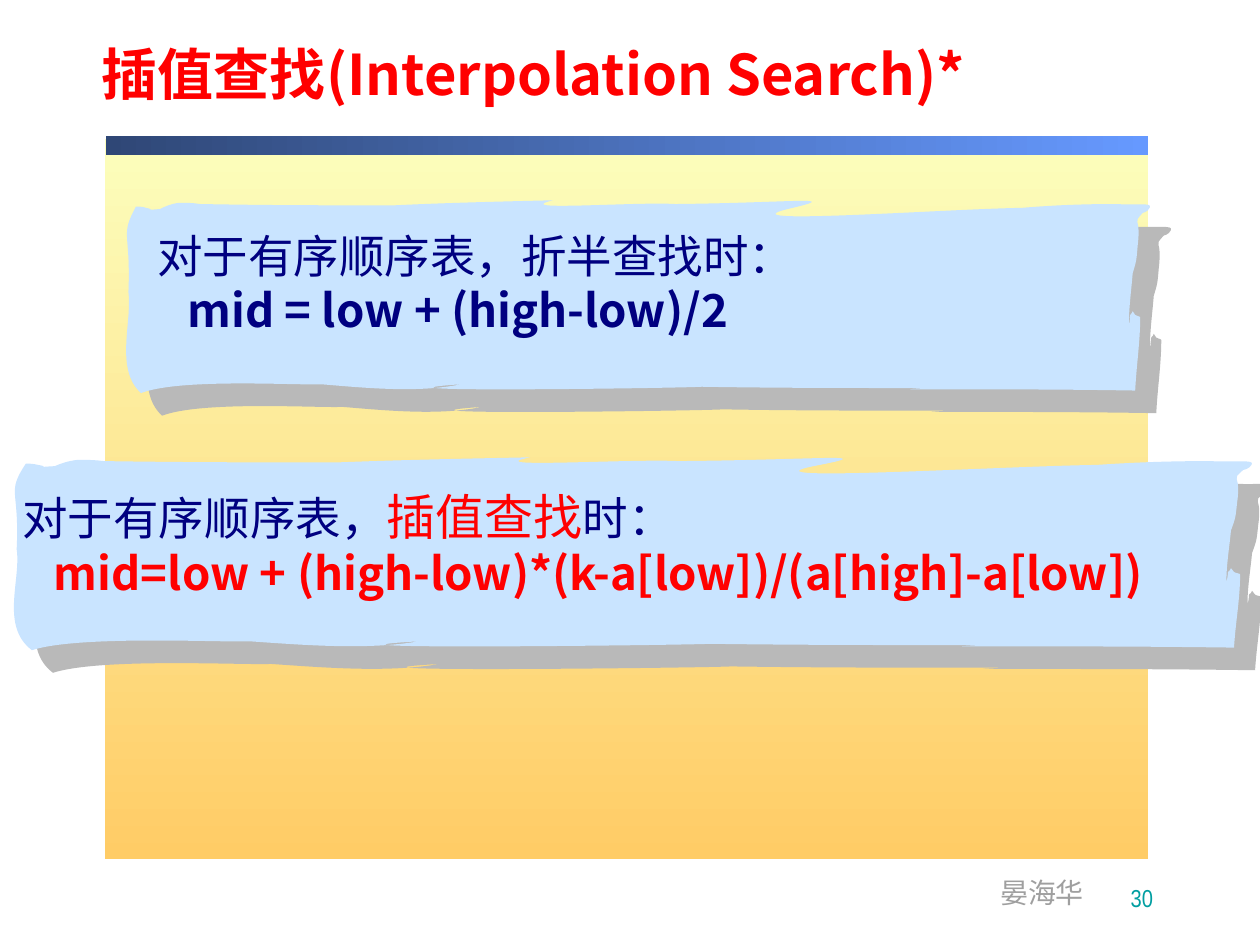
from lxml import etree
from pptx import Presentation
from pptx.dml.color import RGBColor
from pptx.enum.shapes import MSO_SHAPE
from pptx.enum.text import MSO_ANCHOR, PP_ALIGN
from pptx.oxml.ns import qn
from pptx.util import Inches, Pt

RED = RGBColor(0xFF, 0x00, 0x00)
NAVY = RGBColor(0x00, 0x00, 0x80)
TEAL = RGBColor(0x00, 0x9E, 0xA1)
GRAY = RGBColor(0x9F, 0x9F, 0x9F)
SKY = RGBColor(0xC9, 0xE4, 0xFF)
SHADE = RGBColor(0xB9, 0xB9, 0xB9)
CREAM = RGBColor(0xFC, 0xFE, 0xBC)
ORANGE = RGBColor(0xFF, 0xCC, 0x66)
DEEP = RGBColor(0x2F, 0x47, 0x76)
BLUE = RGBColor(0x66, 0x99, 0xFF)

SANS = "Noto Sans CJK SC"
NARROW = "Arial Narrow"

# Brush stroke outline in inches: a start point, then one Bezier curve a row
BRUSH_W, BRUSH_H = 8.27, 1.57
BRUSH_START = (0.68, 0.07)
BRUSH_CURVES = [
    (1.24, 0.08, 1.63, 0.08, 2.22, 0.08),
    (2.64, 0.06, 3.06, 0.05, 3.48, 0.04),
    (3.11, 0.13, 4.15, 0.05, 4.45, 0.07),
    (5.39, 0.06, 5.81, 0.00, 5.34, 0.11),
    (4.82, 0.24, 6.58, 0.11, 7.20, 0.10),
    (7.44, 0.08, 7.68, 0.07, 7.93, 0.07),
    (8.17, 0.08, 8.26, 0.05, 8.20, 0.12),
    (8.19, 0.13, 8.17, 0.14, 8.16, 0.14),
    (8.07, 0.24, 8.15, 0.15, 8.12, 0.40),
    (8.11, 0.52, 8.11, 0.52, 8.08, 0.62),
    (8.07, 0.75, 8.05, 0.89, 8.05, 1.02),
    (8.05, 1.04, 8.06, 0.98, 8.06, 0.95),
    (8.07, 0.94, 8.08, 0.93, 8.08, 0.92),
    (8.09, 0.93, 8.09, 0.94, 8.10, 0.95),
    (8.11, 0.96, 8.14, 0.96, 8.14, 0.97),
    (8.14, 1.16, 8.11, 1.35, 8.10, 1.55),
    (7.51, 1.54, 6.91, 1.54, 6.32, 1.54),
    (6.28, 1.54, 6.47, 1.53, 6.43, 1.53),
    (5.84, 1.53, 5.25, 1.53, 4.66, 1.52),
    (4.54, 1.53, 1.73, 1.57, 2.75, 1.50),
    (2.41, 1.57, 2.00, 1.53, 1.64, 1.50),
    (1.45, 1.51, 0.52, 1.45, 0.21, 1.57),
    (0.00, 1.38, 0.14, 1.01, 0.11, 0.77),
    (0.13, 0.28, 0.04, 0.33, 0.17, 0.09),
    (0.19, 0.09, 0.22, 0.09, 0.25, 0.10),
    (0.35, 0.12, 0.20, 0.12, 0.36, 0.11),
    (0.40, 0.09, 0.44, 0.07, 0.51, 0.06),
    (0.57, 0.06, 0.62, 0.06, 0.68, 0.07),
    (0.68, 0.07, 0.83, 0.09, 0.68, 0.07),
]


def add_text(shapes, box, wrap=True, anchor=MSO_ANCHOR.TOP):
    frame = shapes.add_textbox(*map(Inches, box)).text_frame
    frame.word_wrap = wrap
    frame.vertical_anchor = anchor
    return frame


def add_run(par, text, size, color, face=SANS, bold=False):
    run = par.add_run()
    run.text = text
    font = run.font
    font.size, font.name, font.bold = Pt(size), face, bold
    font.color.rgb = color
    etree.SubElement(font._element, qn("a:ea"), typeface=face)


def add_band(slide, box, colors, angle):
    band = slide.shapes.add_shape(MSO_SHAPE.RECTANGLE, *map(Inches, box))
    band.shadow.inherit = False
    band.line.fill.background()
    band.fill.gradient()
    band.fill.gradient_angle = angle
    for stop, color in zip(band.fill.gradient_stops, colors):
        stop.color.rgb = color


def add_shadow(shape):
    shape.shadow.inherit = False
    effects = shape._element.spPr.find(qn("a:effectLst"))
    outer = etree.SubElement(effects, qn("a:outerShdw"), blurRad="0",
                             dist=str(Pt(17.7)), dir=str(47 * 60000),
                             algn="ctr", rotWithShape="0")
    etree.SubElement(outer, qn("a:srgbClr"), val=str(SHADE))


def draw_curves(shape, scale):
    """Turn the outline of a freeform into the brush curves."""
    outline = shape._element.spPr.find(".//" + qn("a:path"))
    for step in list(outline):
        outline.remove(step)

    def add_step(tag, nums):
        step = etree.SubElement(outline, qn(tag))
        for x, y in zip(nums[::2], nums[1::2]):
            etree.SubElement(step, qn("a:pt"), x=str(Inches(x * scale)),
                             y=str(Inches(y)))

    add_step("a:moveTo", BRUSH_START)
    for curve in BRUSH_CURVES:
        add_step("a:cubicBezTo", curve)
    add_step("a:close", ())


def add_brush(shapes, left, top, width):
    x, y = Inches(left), Inches(top)
    right, low = x + Inches(width), y + Inches(BRUSH_H)
    pen = shapes.build_freeform(x, y)
    pen.add_line_segments([(right, y), (right, low), (x, low)], close=True)
    brush = pen.convert_to_shape()
    draw_curves(brush, width / BRUSH_W)
    brush.fill.solid()
    brush.fill.fore_color.rgb = SKY
    brush.line.fill.background()
    add_shadow(brush)


def add_note(slide, brush, box, lines):
    """Brush stroke with a heading line and an indented formula line."""
    shapes = slide.shapes.add_group_shape().shapes
    add_brush(shapes, *brush)
    frame = add_text(shapes, box)
    for i, (indent, runs) in enumerate(lines):
        par = frame.add_paragraph() if i else frame.paragraphs[0]
        par.alignment = PP_ALIGN.JUSTIFY
        par._p.get_or_add_pPr().set("marL", str(Inches(indent)))
        for text, size, color, bold in runs:
            add_run(par, text, size, color, bold=bold)


def add_title(slide, box):
    par = add_text(slide.shapes, box, anchor=MSO_ANCHOR.MIDDLE).paragraphs[0]
    par.line_spacing = 0.8
    add_run(par, "插值查找(Interpolation Search)*", 32, RED, bold=True)


def add_footer(slide, name_box, page_box):
    name = add_text(slide.shapes, name_box, wrap=False).paragraphs[0]
    add_run(name, "晏海华", 16, GRAY, NARROW)
    page = add_text(slide.shapes, page_box,
                    anchor=MSO_ANCHOR.BOTTOM).paragraphs[0]
    page.alignment = PP_ALIGN.RIGHT
    add_run(page, "30", 14, TEAL, NARROW)


def main():
    deck = Presentation()
    deck.slide_width, deck.slide_height = Inches(10), Inches(7.5)
    slide = deck.slides.add_slide(deck.slide_layouts[6])
    add_band(slide, (0.83, 1.1, 8.28, 5.72), (CREAM, ORANGE), 270)
    add_band(slide, (0.84, 1.08, 8.27, 0.15), (DEEP, BLUE), 0)
    add_footer(slide, (7.84, 6.9, 0.87, 0.37), (7.36, 6.81, 1.89, 0.48))
    add_title(slide, (0.71, 0.17, 8.96, 0.92))
    add_note(slide, (0.91, 1.55, 8.27), (1.06, 1.76, 7.74, 0.98), [
        (0.09, [("对于有序顺序表，折半查找时：", 26, NAVY, False)]),
        (0.33, [("mid = low + (high-low)/2", 26, NAVY, True)]),
    ])
    add_note(slide, (0, 3.59, 10), (0, 3.81, 9.6, 1.45), [
        (0.08, [("对于有序顺序表，", 26, NAVY, False),
                ("插值查找", 28, RED, False),
                ("时：", 26, NAVY, False)]),
        (0.33, [("mid=low + (high-low)*(k-a[low])/(a[high]-a[low])",
                 26, RED, True)]),
    ])
    deck.save("out.pptx")


if __name__ == "__main__":
    main()
